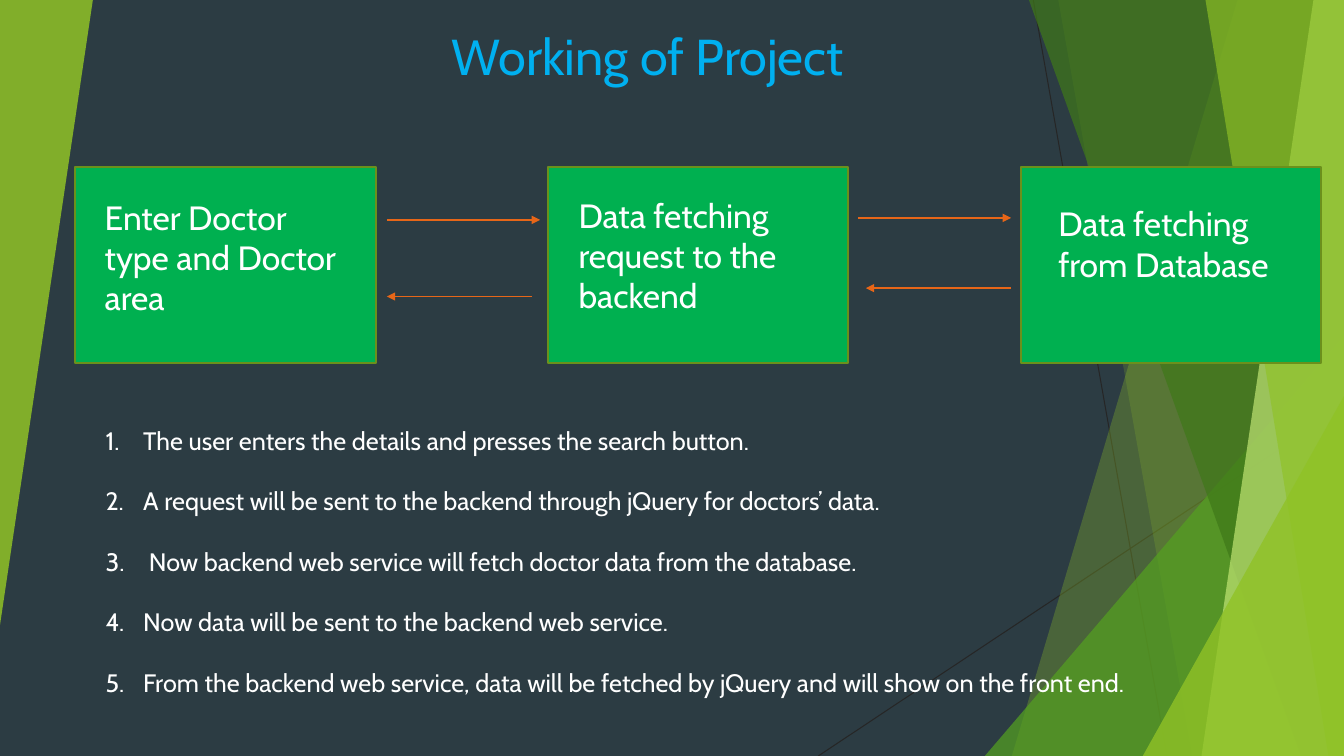
from dataclasses import dataclass

import pptx
import pptx.dml.color
import pptx.enum.shapes
import pptx.enum.text
import pptx.oxml
import pptx.oxml.ns
import pptx.util
from pptx.util import Cm

WIDTH, HEIGHT = 33.87, 19.05
SHAPE = pptx.enum.shapes.MSO_SHAPE
qn = pptx.oxml.ns.qn


@dataclass(frozen=True)
class Theme:
    font: str = "Cabin"
    background: str = "2C3C43"
    thin_line: str = "262626"
    green: str = "90C226"
    mid_green: str = "54A021"
    dark_green: str = "3F7819"
    pale_green: str = "C0E474"
    box: str = "00B050"
    box_line: str = "6B901C"
    arrow: str = "E76618"
    title: str = "00B0F0"
    text: str = "FFFFFF"
    title_size: int = 36
    box_size: int = 24
    step_size: int = 18


THEME = Theme()

# colour, opacity in percent, x at the top edge, x at the bottom edge
BANDS_BACK = [
    (THEME.green, 30, 31.19, 25.5),
    (THEME.green, 20, 26.67, 30.05),
]
BANDS_FRONT = [
    (THEME.dark_green, 70, 25.93, 32.79),
    (THEME.pale_green, 70, 33.1, 30.28),
    (THEME.green, 65, 30.38, 33.48),
]

# text, left, top, width
STAGES = [
    ("Enter Doctor type and Doctor area", 2.39, 4.83, 6.58),
    ("Data fetching request to the backend", 14.33, 4.78, 6.2),
    ("Data fetching from Database", 26.42, 5, 6.2),
]

# start x, end x, y
ARROWS = [
    (9.75, 13.61, 5.54),
    (21.62, 25.48, 5.49),
    (25.48, 21.82, 7.26),
    (13.41, 9.75, 7.47),
]

STEPS = [
    "The user enters the details and presses the search button.",
    "A request will be sent to the backend through jQuery for doctors’ data.",
    " Now backend web service will fetch doctor data from the database.",
    "Now data will be sent to the backend web service.",
    "From the backend web service, data will be fetched by jQuery and will show on the front end.",
]


def rgb(color):
    return pptx.dml.color.RGBColor.from_string(color)


def add_line(s, x1, y1, x2, y2, color, width):
    sp = s.shapes.add_connector(
        pptx.enum.shapes.MSO_CONNECTOR.STRAIGHT, Cm(x1), Cm(y1), Cm(x2), Cm(y2))
    sp.line.color.rgb = rgb(color)
    sp.line.width = pptx.util.Pt(width)
    pptx.oxml.ns  # namespace helpers for the effect list below
    sp.element.spPr.append(pptx.oxml.parse_xml(
        f"<a:effectLst {pptx.oxml.ns.nsdecls('a')}/>"))
    return sp


def add_arrow(s, x1, x2, y):
    sp = add_line(s, x1, y, x2, y, THEME.arrow, 1)
    sp.line._get_or_add_ln().append(pptx.oxml.parse_xml(
        f"<a:tailEnd {pptx.oxml.ns.nsdecls('a')} type='triangle'/>"))


def paint_facet(sp, color, opacity):
    """Give a borderless, partly transparent fill."""
    sp.shadow.inherit = False
    sp.fill.solid()
    sp.fill.fore_color.rgb = rgb(color)
    sp.line.fill.background()
    srgb = sp.element.spPr.find(qn("a:solidFill")).find(qn("a:srgbClr"))
    srgb.append(pptx.oxml.parse_xml(
        f"<a:alpha {pptx.oxml.ns.nsdecls('a')} val='{opacity * 1000}'/>"))


def add_band(s, color, opacity, top_x, bottom_x):
    """Add a facet that reaches from a slanted edge to the right slide edge."""
    builder = s.shapes.build_freeform(Cm(top_x), Cm(0))
    builder.add_line_segments(
        [(Cm(WIDTH), Cm(0)), (Cm(WIDTH), Cm(HEIGHT)), (Cm(bottom_x), Cm(HEIGHT))])
    paint_facet(builder.convert_to_shape(), color, opacity)


def add_triangle(s, left, top, width, height, color, opacity, rotation=0):
    sp = s.shapes.add_shape(
        SHAPE.ISOSCELES_TRIANGLE, Cm(left), Cm(top), Cm(width), Cm(height))
    sp.adjustments[0] = 1
    sp.rotation = rotation
    paint_facet(sp, color, opacity)


def add_box(s, left):
    sp = s.shapes.add_shape(SHAPE.RECTANGLE, Cm(left), Cm(4.22), Cm(7.57), Cm(4.93))
    sp.shadow.inherit = False
    sp.fill.solid()
    sp.fill.fore_color.rgb = rgb(THEME.box)
    sp.line.color.rgb = rgb(THEME.box_line)
    sp.line.width = pptx.util.Pt(1.5)


def add_text(s, text, left, top, width, height, size, color):
    sp = s.shapes.add_textbox(Cm(left), Cm(top), Cm(width), Cm(height))
    tf = sp.text_frame
    tf.word_wrap = True
    tf.auto_size = pptx.enum.text.MSO_AUTO_SIZE.SHAPE_TO_FIT_TEXT
    tf.text = text
    for p in tf.paragraphs:
        for r in p.runs:
            r.font.name = THEME.font
            r.font.size = pptx.util.Pt(size)
            r.font.color.rgb = rgb(color)
    return tf


def number_paragraphs(tf):
    for p in tf.paragraphs:
        p.space_after = pptx.util.Pt(21.6)
        pPr = p._p.get_or_add_pPr()
        pPr.set("marL", str(Cm(0.95)))
        pPr.set("indent", str(-Cm(0.95)))
        pPr.append(pptx.oxml.parse_xml(
            f"<a:buAutoNum {pptx.oxml.ns.nsdecls('a')} type='arabicPeriod'/>"))


def add_backdrop(s):
    s.background.fill.solid()
    s.background.fill.fore_color.rgb = rgb(THEME.background)
    add_line(s, 26.04, 0, 29.41, HEIGHT, THEME.thin_line, 0.75)
    add_line(s, WIDTH, 10.24, 20.62, HEIGHT, THEME.thin_line, 0.75)
    for band in BANDS_BACK:
        add_band(s, *band)
    add_triangle(s, 24.82, 8.46, 9.05, 10.59, THEME.mid_green, 72)
    for band in BANDS_FRONT:
        add_band(s, *band)
    add_triangle(s, 28.8, 9.98, 5.07, 9.07, THEME.green, 80)
    add_triangle(s, 0, 0, 2.34, 15.75, THEME.green, 85, rotation=180)


def main():
    prs = pptx.Presentation()
    prs.slide_width, prs.slide_height = Cm(WIDTH), Cm(HEIGHT)
    s = prs.slides.add_slide(prs.slide_layouts[6])
    add_backdrop(s)
    add_text(s, "Working of Project", 11.13, 0.51, 11.61, 1.8,
             THEME.title_size, THEME.title)
    for i, (text, left, top, width) in enumerate(STAGES):
        add_box(s, 1.9 + 11.91 * i)
        add_text(s, text, left, top, width, 3.33, THEME.box_size, THEME.text)
    for arrow in ARROWS:
        add_arrow(s, *arrow)
    tf = add_text(s, "\n".join(STEPS), 2.41, 10.59, 30.23, 7.19,
                  THEME.step_size, THEME.text)
    number_paragraphs(tf)
    prs.save("out.pptx")


if __name__ == "__main__":
    main()
